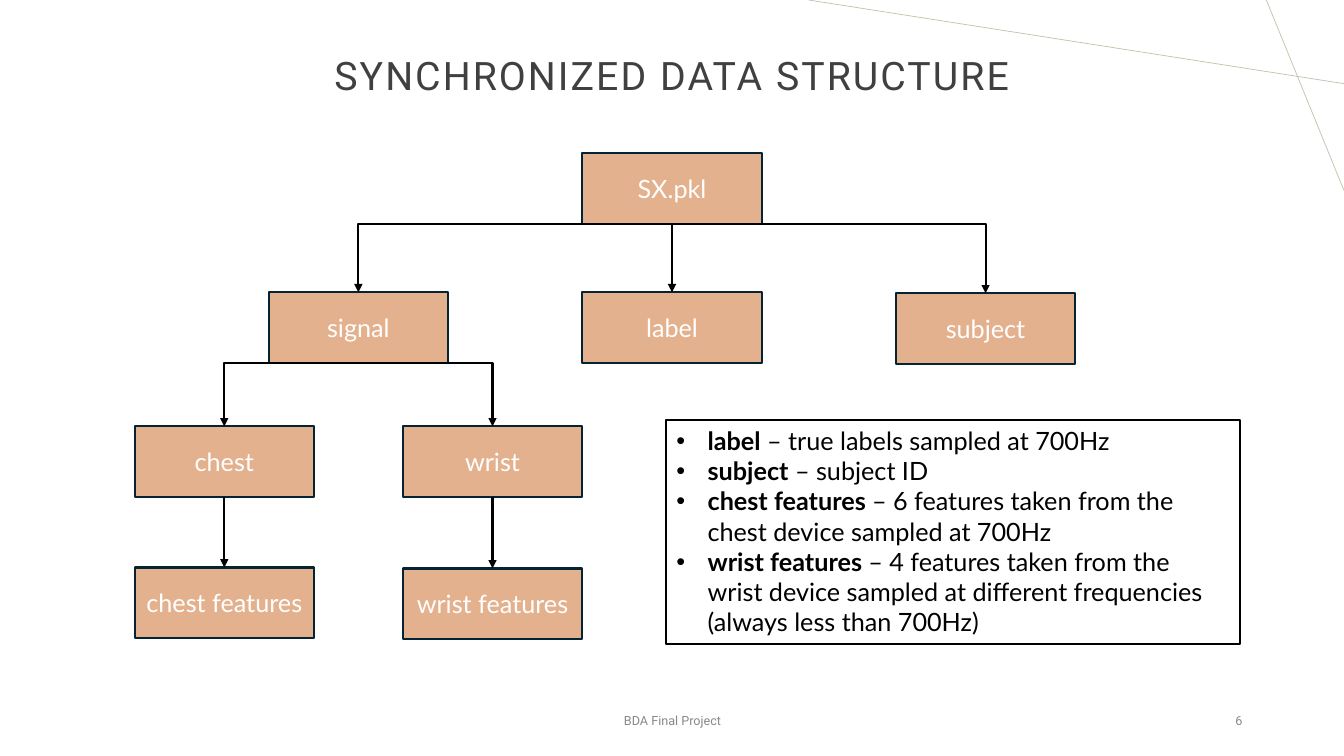
import pptx
import pptx.util
import pptx.dml.color
import pptx.enum.shapes
import pptx.enum.text
import pptx.oxml.ns
from lxml import etree

Inches, Pt = pptx.util.Inches, pptx.util.Pt
RGBColor = pptx.dml.color.RGBColor
ALIGN, ANCHOR = pptx.enum.text.PP_ALIGN, pptx.enum.text.MSO_ANCHOR
SHAPE, CONNECTOR = pptx.enum.shapes.MSO_SHAPE, pptx.enum.shapes.MSO_CONNECTOR

# Content
TITLE = "SYNCHRONIZED DATA STRUCTURE"
FOOTER = "BDA Final Project"
PAGE_NUMBER = "6"
NODES = {  # name: (parent, columns from the parent, row, row offset)
    "SX.pkl": (None, 0, 0, 0),
    "signal": ("SX.pkl", -1, 1, 0),
    "label": ("SX.pkl", 0, 1, 0),
    "subject": ("SX.pkl", 1, 1, 0.01),
    "chest": ("signal", -1, 2, 0),
    "wrist": ("signal", 1, 2, 0),
    "chest features": ("chest", 0, 3, 0),
    "wrist features": ("wrist", 0, 3, 0.01),
}
LEGEND = [
    ("label", " – true labels sampled at 700Hz"),
    ("subject", " – subject ID"),
    ("chest features ", "– 6 features taken from the chest device sampled at 700Hz"),
    ("wrist features ", "– 4 features taken from the wrist device sampled at "
                        "different frequencies (always less than 700Hz)"),
]

# Layout and style
WIDTH, HEIGHT = 13.33, 7.5
ROW_TOPS = [1.52, 2.9, 4.23, 5.63]
COLUMN_STEPS = [0, 3.11, 1.33, 0]
NODE_WIDTH, NODE_HEIGHT = 1.78, 0.7
INDENT = 0.31
WHITE = RGBColor(0xFF, 0xFF, 0xFF)
BLACK = RGBColor(0, 0, 0)
PEACH = RGBColor(0xE3, 0xB1, 0x8D)
NAVY = RGBColor(0x04, 0x24, 0x33)
SAND = RGBColor(0xC6, 0xBF, 0xAA)
CHARCOAL = RGBColor(0x40, 0x40, 0x40)
GREY = RGBColor(0x89, 0x89, 0x89)


def add_child(parent, tag, **attributes):
    return etree.SubElement(parent, pptx.oxml.ns.qn(tag), attributes)


def format_font(font, name, size, color, bold=False):
    font.name, font.size, font.bold = name, Pt(size), bold
    font.color.rgb = color


def add_line(slide, start, end, color, width, arrow=False):
    bent = arrow and start[0] != end[0]
    kind = CONNECTOR.ELBOW if bent else CONNECTOR.STRAIGHT
    line = slide.shapes.add_connector(kind, *map(Inches, start + end))
    line.line.color.rgb, line.line.width = color, Pt(width)
    properties = line._element.spPr
    if bent:  # one corner: sideways first, then down
        properties.find(pptx.oxml.ns.qn("a:prstGeom")).set("prst", "bentConnector2")
    if arrow:
        add_child(line.line._get_or_add_ln(), "a:tailEnd", type="triangle")
    add_child(properties, "a:effectLst")


def add_box(slide, place, fill, outline):
    box = slide.shapes.add_shape(SHAPE.RECTANGLE, *map(Inches, place))
    box.shadow.inherit = False
    box.fill.solid()
    box.fill.fore_color.rgb = fill
    box.line.color.rgb, box.line.width = outline, Pt(1.5)
    box.text_frame.word_wrap = True
    return box.text_frame


def write_line(frame, text, align, name, size, color):
    frame.text = text
    frame.word_wrap = True
    frame.vertical_anchor = ANCHOR.MIDDLE
    paragraph = frame.paragraphs[0]
    paragraph.alignment = align
    format_font(paragraph.runs[0].font, name, size, color)
    return paragraph


def add_tree(slide):
    places = {}
    for name, (parent, column, row, offset) in NODES.items():
        parent_center = places[parent][0] if parent else WIDTH / 2
        center = parent_center + column * COLUMN_STEPS[row]
        top = ROW_TOPS[row] + offset
        places[name] = (center, top)
        frame = add_box(slide, (center - NODE_WIDTH / 2, top, NODE_WIDTH, NODE_HEIGHT),
                        PEACH, NAVY)
        frame.margin_left = frame.margin_right = Inches(0.05)
        write_line(frame, name, ALIGN.CENTER, "Lato", 18, WHITE)
    for name, (parent, *_) in NODES.items():
        if parent:
            center, top = places[parent]
            add_line(slide, (center, top + NODE_HEIGHT), places[name], BLACK, 1.5, arrow=True)


def add_legend(slide):
    frame = add_box(slide, (6.61, 4.17, 5.69, 2.22), WHITE, BLACK)
    frame.vertical_anchor = ANCHOR.TOP
    for index, (term, meaning) in enumerate(LEGEND):
        paragraph = frame.add_paragraph() if index else frame.paragraphs[0]
        paragraph.alignment = ALIGN.LEFT
        properties = paragraph._p.get_or_add_pPr()
        properties.set("marL", str(Inches(INDENT)))
        properties.set("indent", str(-Inches(INDENT)))
        add_child(add_child(properties, "a:buClr"), "a:srgbClr", val=str(BLACK))
        add_child(properties, "a:buFont", typeface="Arial")
        add_child(properties, "a:buChar", char="•")
        for text, bold in ((term, True), (meaning, False)):
            run = paragraph.add_run()
            run.text = text
            format_font(run.font, "Lato", 18, BLACK, bold)


def main():
    deck = pptx.Presentation()
    deck.slide_width, deck.slide_height = Inches(WIDTH), Inches(HEIGHT)
    slide = deck.slides.add_slide(deck.slide_layouts[5])

    # Corner lines
    add_line(slide, (WIDTH, 0.83), (8.02, 0), SAND, 0.5)
    add_line(slide, (12.56, 0), (WIDTH, 1.89), SAND, 0.5)

    # Title
    title = slide.shapes.title
    title.left, title.top, title.width, title.height = map(Inches, (2.06, 0.34, 9.21, 0.89))
    heading = write_line(title.text_frame, TITLE, ALIGN.CENTER, "Roboto", 28, CHARCOAL)
    title.text_frame.auto_size = pptx.enum.text.MSO_AUTO_SIZE.NONE
    heading.line_spacing = 0.8
    heading.runs[0].font._element.set("spc", "150")

    # Tree and legend
    add_tree(slide)
    add_legend(slide)

    # Footer
    for text, left, width, align in ((FOOTER, 4.42, 4.5, ALIGN.CENTER),
                                     (PAGE_NUMBER, 9.42, 3, ALIGN.RIGHT)):
        footer = slide.shapes.add_textbox(*map(Inches, (left, 6.95, width, 0.4)))
        write_line(footer.text_frame, text, align, "Roboto", 9, GREY)

    deck.save("out.pptx")


if __name__ == "__main__":
    main()
